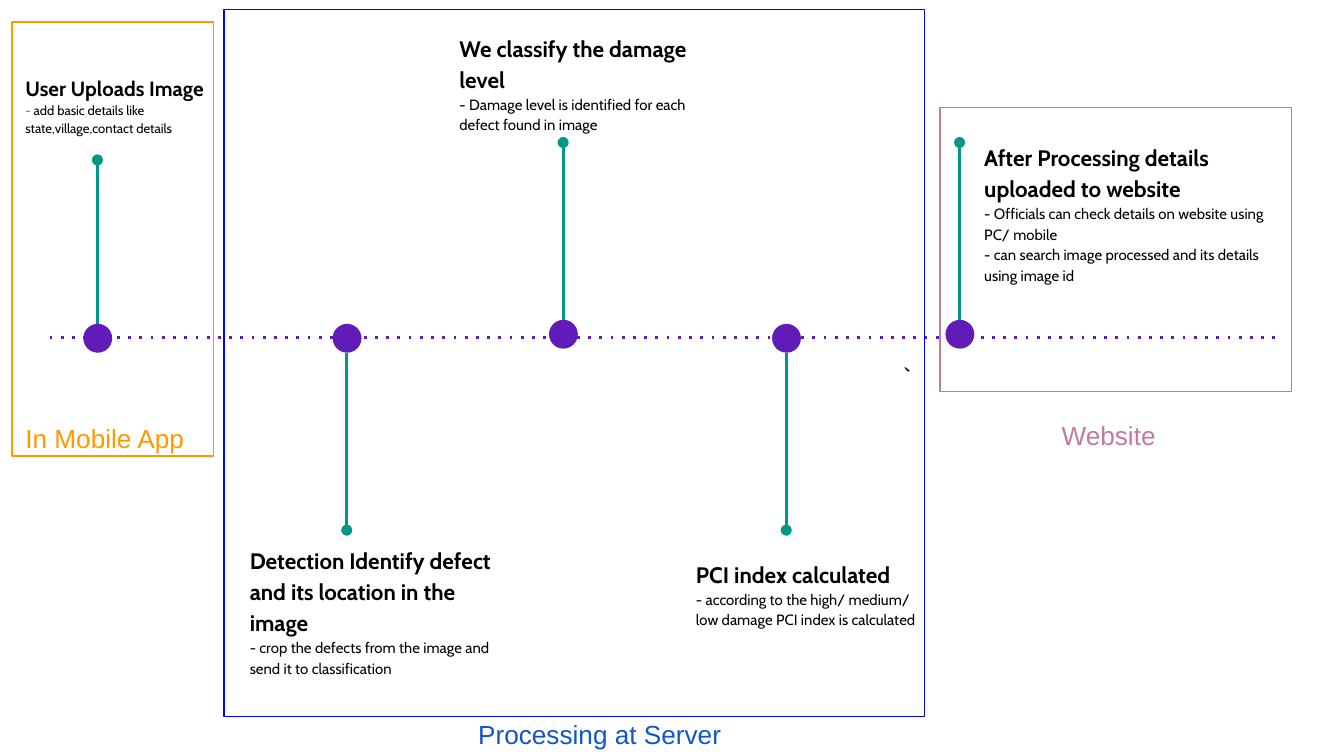
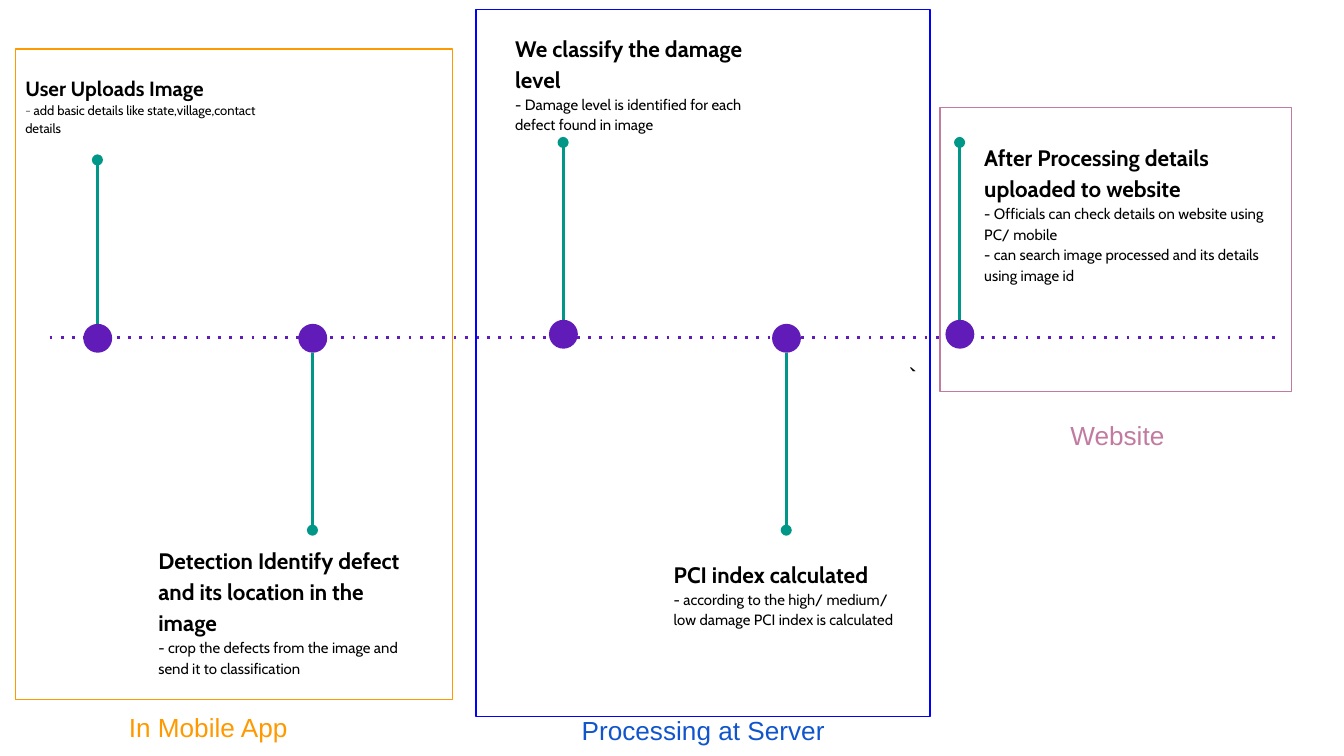
import pptx
import pptx.dml.color
import pptx.enum.shapes
import pptx.enum.text
import pptx.oxml.ns
import pptx.util
import lxml.etree

RGB = pptx.dml.color.RGBColor
PURPLE = RGB(0x61, 0x1B, 0xB8)
TEAL = RGB(0x00, 0x96, 0x88)
BLACK = RGB(0x00, 0x00, 0x00)
GREY = RGB(0x7F, 0x7F, 0x7F)
ORANGE = RGB(0xFF, 0x99, 0x00)
BLUE = RGB(0x00, 0x00, 0xFF)
NAVY = RGB(0x11, 0x55, 0xCC)
PINK = RGB(0xC2, 0x7B, 0xA0)

PX = 4572
KINDS = pptx.enum.shapes.MSO_SHAPE
STRAIGHT = pptx.enum.shapes.MSO_CONNECTOR.STRAIGHT
DOT = 43

NOTES = [
    ("User Uploads Image", 11, 7, 87, 110,
     [[("-", GREY), (" add basic details like state,village,contact details", BLACK)]]),
    ("Detection Identify defect and its location in the image", 12, 8, 789, 212,
     [[("- crop the defects from the image and send it to classification", BLACK)]]),
    ("We classify the damage level", 12, 8, 26, 212,
     [[("- Damage level is identified for each defect found in image", BLACK)]]),
    ("PCI index calculated", 12, 8, 809, 212,
     [[("- according to the high/ medium/ low damage PCI index is calculated", BLACK)]]),
    ("After Processing details uploaded to website", 12, 8, 189, 212,
     [[("- Officials can check details on website using PC/ mobile", BLACK)],
      [("- can search image processed and its details using image id", BLACK)]]),
]
PINS = [(482, 238), (482, 789), (476, 212), (482, 789), (476, 212)]
AREAS = [("In Mobile App", ORANGE, ORANGE), ("Processing at Server", BLUE, NAVY),
         ("Website", PINK, PINK)]
SITE = (1399, 160, 523, 423)

PAGES = [
    {"pins": [145, 516, 838, 1170, 1428],
     "notes": [(18, 320), (352, 422), (664, 422), (1016, 386), (1445, 492)],
     "frames": [(18, 33, 300, 646), (333, 14, 1043, 1052), SITE],
     "labels": [(18, 609, 284, 44), (692, 1055, 532, 34), (1560, 604, 230, 88)]},
    {"pins": [145, 465, 838, 1170, 1428],
     "notes": [(18, 426), (216, 422), (747, 422), (983, 386), (1445, 492)],
     "frames": [(23, 73, 650, 968), (708, 14, 676, 1052), SITE],
     "labels": [(172, 1038, 284, 44), (846, 1049, 508, 34), (1573, 604, 236, 86)]},
]


def add_text(shape, paras, space=None):
    frame = shape.text_frame
    frame.word_wrap = True
    frame.margin_left = frame.margin_right = 20 * PX
    frame.margin_top = frame.margin_bottom = 20 * PX
    for i, runs in enumerate(paras):
        para = frame.paragraphs[0] if i == 0 else frame.add_paragraph()
        para.alignment = pptx.enum.text.PP_ALIGN.LEFT
        para.line_spacing = space
        for words, face, size, bold, tint in runs:
            run = para.add_run()
            run.text = words
            run.font.name = face
            run.font.size = pptx.util.Pt(size)
            run.font.bold = bold
            run.font.color.rgb = tint


def add_line(shapes, ends, tint, tag, **attrs):
    line = shapes.add_connector(STRAIGHT, *[n * PX for n in ends])
    line.line.color.rgb = tint
    line.line.width = pptx.util.Pt(1.5)
    qn = pptx.oxml.ns.qn
    lxml.etree.SubElement(line.line._get_or_add_ln(), qn(tag), **attrs)
    lxml.etree.SubElement(line._element.spPr, qn("a:effectLst"))


deck = pptx.Presentation()
deck.slide_width = 2000 * PX
deck.slide_height = 1125 * PX

for page in PAGES:
    shapes = deck.slides.add_slide(deck.slide_layouts[6]).shapes
    add_line(shapes, (74, 502, 1898, 502), PURPLE, "a:prstDash", val="dot")

    for x, (top, tip) in zip(page["pins"], PINS):
        pin = shapes.add_group_shape().shapes
        start = top if tip < top else top + DOT
        add_line(pin, (x, start, x, tip), TEAL, "a:tailEnd", type="oval")
        dot = pin.add_shape(KINDS.OVAL, (x - 21) * PX, top * PX, DOT * PX, DOT * PX)
        dot.shadow.inherit = False
        dot.fill.solid()
        dot.fill.fore_color.rgb = PURPLE
        dot.line.fill.background()

    for (left, width), (head, big, small, top, height, body) in zip(page["notes"], NOTES):
        note = shapes.add_textbox(left * PX, top * PX, width * PX, height * PX)
        paras = [[(head, "Cabin", big, True, BLACK)]]
        for runs in body:
            paras.append([(words, "Cabin", small, False, tint) for words, tint in runs])
        add_text(note, paras, 1.15)

    for box, spot, (name, edge, tint) in zip(page["frames"], page["labels"], AREAS):
        frame = shapes.add_shape(KINDS.RECTANGLE, *[n * PX for n in box])
        frame.shadow.inherit = False
        frame.fill.background()
        frame.line.color.rgb = edge
        frame.line.width = pptx.util.Pt(0.75)
        if edge == BLUE:
            frame.rotation = 180
            frame.text_frame.vertical_anchor = pptx.enum.text.MSO_ANCHOR.MIDDLE
            add_text(frame, [[("`", "Arial", 14, False, BLACK)]])
        label = shapes.add_textbox(*[n * PX for n in spot])
        add_text(label, [[(name, "Arial", 14, False, tint)]])

deck.save("out.pptx")
